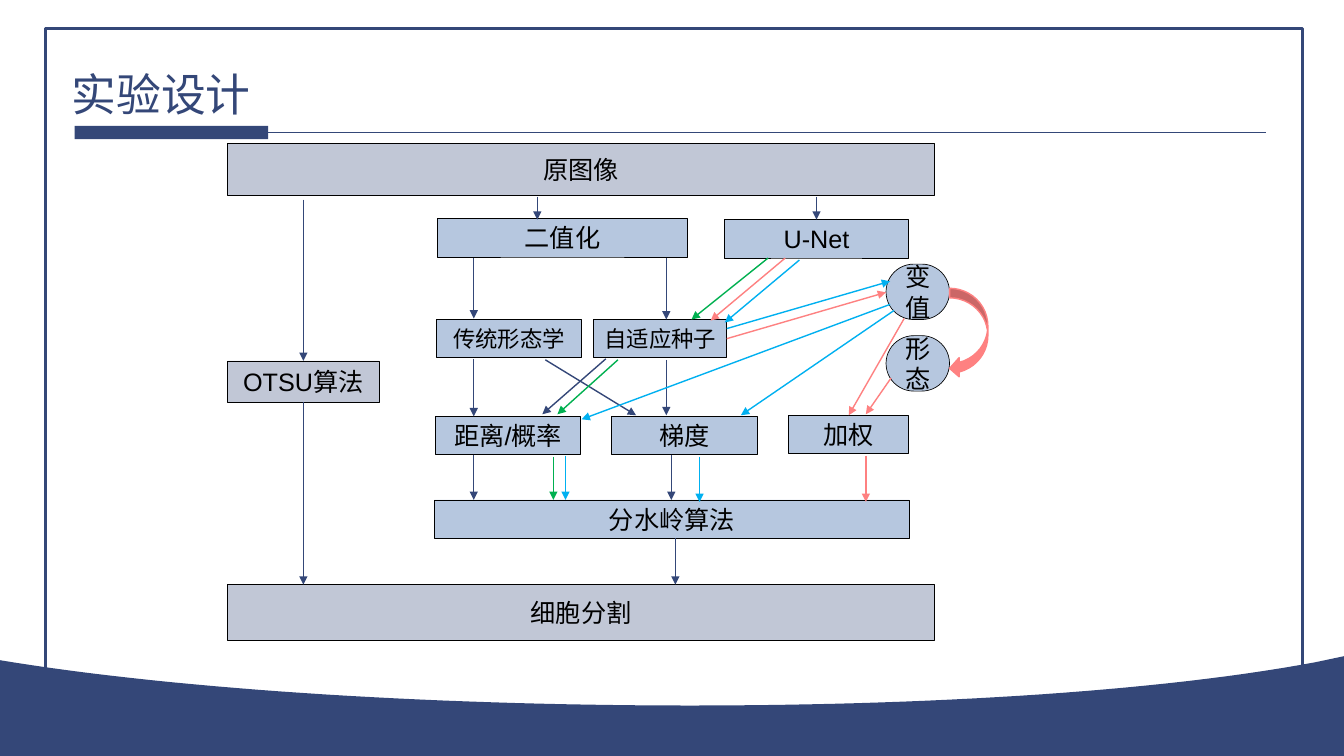
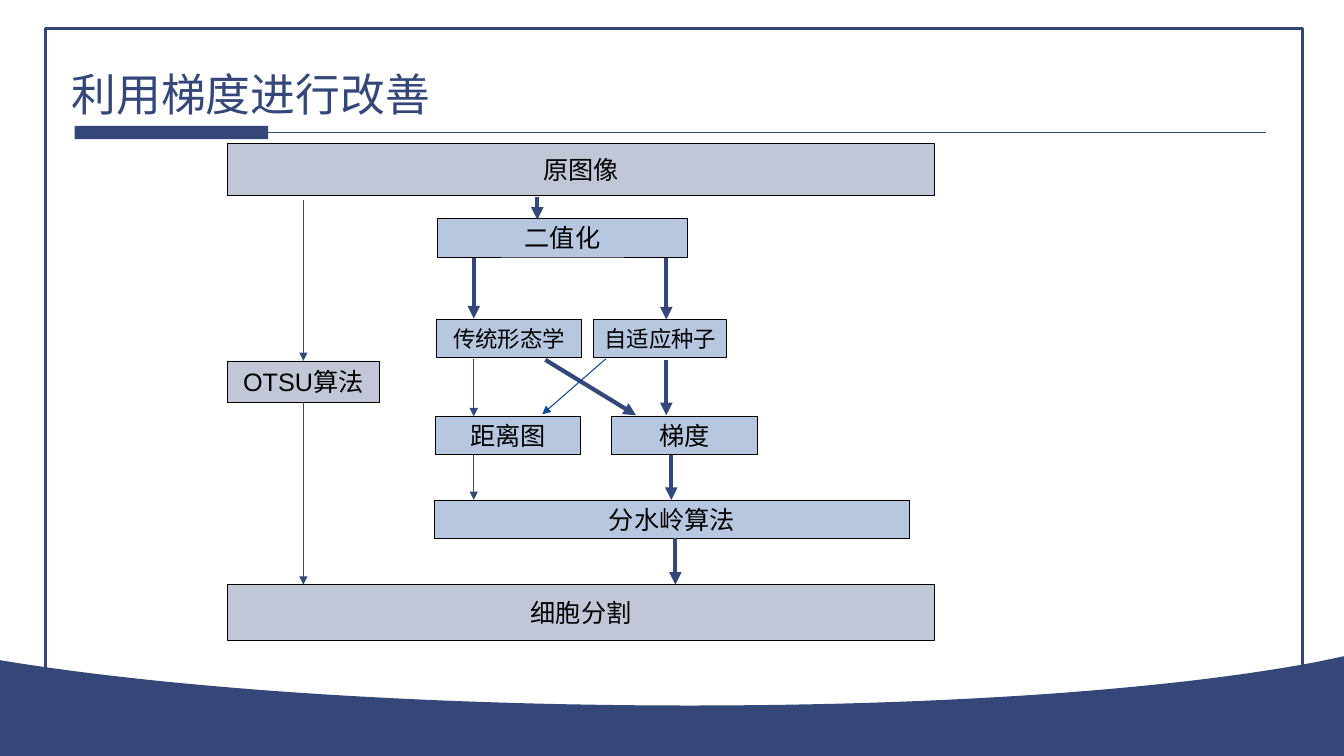
from pptx import Presentation
from pptx.dml.color import RGBColor
from pptx.enum.shapes import MSO_CONNECTOR, MSO_SHAPE
from pptx.enum.text import MSO_ANCHOR, MSO_AUTO_SIZE, PP_ALIGN
from pptx.oxml.ns import qn
from pptx.oxml.xmlchemy import OxmlElement
from pptx.util import Inches, Pt

RECTANGLE = MSO_SHAPE.RECTANGLE
PILL = MSO_SHAPE.ROUNDED_RECTANGLE
CURVED_ARROW = MSO_SHAPE.CURVED_LEFT_ARROW
STRAIGHT = MSO_CONNECTOR.STRAIGHT
MIDDLE = MSO_ANCHOR.MIDDLE
NO_AUTOFIT = MSO_AUTO_SIZE.NONE
LEFT, CENTER = PP_ALIGN.LEFT, PP_ALIGN.CENTER

COLORS = {
    "navy": "344778",
    "blue": "0E4797",
    "pink": "FE8181",
    "sky": "00B0F0",
    "green": "00B050",
    "black": "000000",
    "white": "FFFFFF",
}
FONT = "Arial"
CELL = Inches(0.1)
COLUMNS, ROWS = 133.33, 75
TITLE_ONLY = 5
BAND_CURVE = ((0, 65.5), (33.8, 71.1), (97.9, 71.8), (130.5, 65.7))
CURVE_STEPS = 60

COMMON_BOXES = [
    ("原图像", "navy", 18, (22.6, 14.2, 70.1, 5.2)),
    ("OTSU算法", "navy", 18, (22.6, 35.8, 15, 4.1)),
    ("细胞分割", "navy", 18, (22.6, 58, 70.1, 5.5)),
    ("二值化", "blue", 18, (43.4, 21.7, 24.8, 3.8)),
    ("传统形态学", "blue", 16, (43.3, 31.7, 14.4, 3.8)),
    ("自适应种子", "blue", 16, (58.9, 31.7, 13.2, 3.8)),
    ("梯度", "blue", 18, (60.7, 41.3, 14.4, 3.8)),
    ("分水岭算法", "blue", 18, (43.1, 49.6, 47.1, 3.8)),
]
DISTANCE_AREA = (43.2, 41.3, 14.4, 3.8)
NETWORK_BOXES = [
    ("U-Net", "blue", 18, (71.9, 21.8, 18.2, 3.8)),
    ("加权", "blue", 18, (78.2, 41.2, 11.9, 3.8)),
]
PILLS = [("变值", (87.9, 26.2, 6.3, 5.5)), ("形态", (87.9, 33.3, 6.3, 5.5))]

OTSU_ROUTES = [(30.1, 19.8, 30.1, 35.8), (30.1, 39.9, 30.1, 58)]
GRADIENT_ROUTES = [
    (53.3, 19.5, 53.3, 21.8),
    (47, 25.6, 47, 31.6),
    (66.1, 25.6, 66.1, 31.7),
    (54.1, 35.7, 63.1, 41.2),
    (66.1, 35.7, 66.1, 41.2),
    (66.6, 45.1, 66.6, 49.6),
    (67, 53.4, 67, 58),
]
DISTANCE_ROUTES = [(47, 35.6, 47, 41.3), (47, 45.1, 47, 49.6)]
SEED_ROUTES = [(60.1, 35.6, 53.8, 41.1)]
NETWORK_ROUTES = {
    "navy": [(81, 19.5, 81, 21.8)],
    "pink": [
        (77.9, 25.6, 70.5, 31.8),
        (72.1, 33.6, 87.9, 29),
        (89.7, 31.6, 84.2, 41.2),
        (88.4, 37.5, 85.9, 41.1),
        (85.9, 45.2, 85.9, 49.8),
    ],
    "sky": [
        (79.3, 25.8, 71.9, 32),
        (72.1, 32.6, 88.3, 27.9),
        (88.7, 30.8, 73.5, 41.2),
        (69.4, 45.3, 69.4, 49.8),
        (88.3, 30.2, 57.7, 41.6),
        (56.1, 45.2, 56.1, 49.6),
    ],
    "green": [
        (76.2, 25.6, 68.6, 31.7),
        (61.3, 35.7, 55.3, 41.1),
        (54.9, 45.3, 54.9, 49.6),
    ],
}


def cells(*counts):
    return [round(count * CELL) for count in counts]


def rgb(name):
    return RGBColor.from_string(COLORS[name])


def curve_points(curve, steps):
    for step in range(steps + 1):
        t = step / steps
        weights = ((1 - t) ** 3, 3 * t * (1 - t) ** 2, 3 * t**2 * (1 - t), t**3)
        yield tuple(
            sum(weight * point[axis] for weight, point in zip(weights, curve))
            for axis in (0, 1)
        )


class Deck:
    def __init__(self):
        self.presentation = Presentation()
        self.presentation.slide_width, self.presentation.slide_height = cells(COLUMNS, ROWS)
        self.layout = self.presentation.slide_layouts[TITLE_ONLY]
        self.slide = None

    def add_slide(self, title):
        first = self.slide is None
        self.slide = self.presentation.slides.add_slide(self.layout)
        if first:
            self.furnish_layout()
        shape = self.slide.shapes.title
        shape.left, shape.top, shape.width, shape.height = cells(6.1, 6.1, 50.3, 6.4)
        self.set_text(shape, title, 32, "navy", LEFT)

    def furnish_layout(self):
        parts = [
            self.shape(RECTANGLE, (4.5, 2.8, 124.7, 70.1), "white", "navy", 2.25),
            self.band(),
            self.shape(RECTANGLE, (7.4, 12.5, 19.2, 1.3), "navy"),
            self.line((26.5, 13.1, 125.6, 13.1), "navy", 0.75),
        ]
        for number, part in enumerate(parts, 20):
            part.element.xpath(".//p:cNvPr")[0].set("id", str(number))
            self.layout.shapes.element.append(part.element)

    def set_text(self, shape, text, size, color, alignment):
        frame = shape.text_frame
        frame.text = text
        frame.word_wrap = True
        frame.auto_size = NO_AUTOFIT
        frame.vertical_anchor = MIDDLE
        paragraph = frame.paragraphs[0]
        paragraph.alignment = alignment
        paragraph.font.name = FONT
        paragraph.font.size = Pt(size)
        paragraph.font.bold = False
        paragraph.font.color.rgb = rgb(color)

    def paint(self, shape, fill, line=None, weight=1.0, opacity=None):
        shape.shadow.inherit = False
        shape.fill.solid()
        shape.fill.fore_color.rgb = rgb(fill)
        if opacity is not None:
            alpha = OxmlElement("a:alpha")
            alpha.set("val", str(opacity * 1000))
            shape.element.spPr.find(qn("a:solidFill"))[0].append(alpha)
        if line is None:
            shape.line.fill.background()
        else:
            shape.line.color.rgb = rgb(line)
            shape.line.width = Pt(weight)

    def shape(self, kind, area, fill, line=None, weight=1.0, opacity=None):
        shape = self.slide.shapes.add_shape(kind, *cells(*area))
        self.paint(shape, fill, line, weight, opacity)
        return shape

    def band(self):
        builder = self.slide.shapes.build_freeform(*cells(COLUMNS, 65.1))
        outline = [(COLUMNS, ROWS), (0, ROWS), *curve_points(BAND_CURVE, CURVE_STEPS)]
        builder.add_line_segments([cells(*point) for point in outline], close=True)
        shape = builder.convert_to_shape()
        self.paint(shape, "navy")
        return shape

    def box(self, text, fill, size, area, kind=RECTANGLE):
        shape = self.shape(kind, area, fill, "black", 0.48, 30)
        if kind == PILL:
            shape.adjustments[0] = 0.5
        shape.text_frame.margin_left = shape.text_frame.margin_right = Inches(0.05)
        self.set_text(shape, text, size, "black", CENTER)

    def line(self, route, color, weight):
        connector = self.slide.shapes.add_connector(STRAIGHT, *cells(*route))
        connector.line.color.rgb = rgb(color)
        connector.line.width = Pt(weight)
        connector.element.spPr.append(OxmlElement("a:effectLst"))
        return connector

    def arrows(self, routes, color, weight):
        for route in routes:
            connector = self.line(route, color, weight)
            head = OxmlElement("a:tailEnd")
            head.set("type", "triangle")
            connector.element.spPr.find(qn("a:ln")).append(head)

    def flow(self, distance_label, main_weight, side_weight, seed_color):
        for box in COMMON_BOXES:
            self.box(*box)
        self.box(distance_label, "blue", 18, DISTANCE_AREA)
        self.arrows(OTSU_ROUTES, "navy", 0.5)
        self.arrows(DISTANCE_ROUTES, "navy", side_weight)
        self.arrows(GRADIENT_ROUTES, "navy", main_weight)
        self.arrows(SEED_ROUTES, seed_color, side_weight)

    def network(self):
        for box in NETWORK_BOXES:
            self.box(*box)
        for text, area in PILLS:
            self.box(text, "blue", 18, area, PILL)
        self.shape(CURVED_ARROW, (94.2, 28.6, 3.8, 8.9), "pink", "pink")
        for color, routes in NETWORK_ROUTES.items():
            self.arrows(routes, color, 1)


def main():
    deck = Deck()
    deck.add_slide("实验设计")
    deck.flow("距离/概率", 1, 1, "navy")
    deck.network()
    deck.add_slide("利用梯度进行改善")
    deck.flow("距离图", 3, 0.75, "blue")
    deck.presentation.save("out.pptx")


if __name__ == "__main__":
    main()
